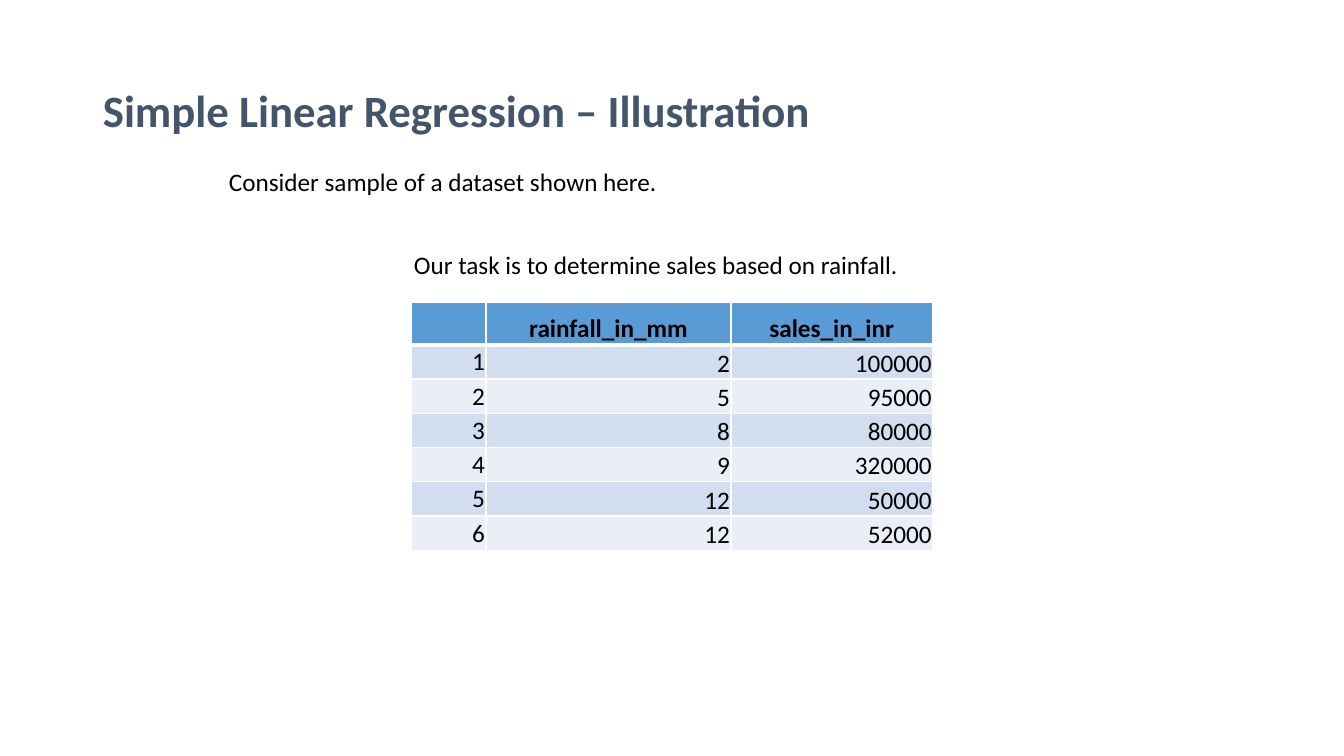
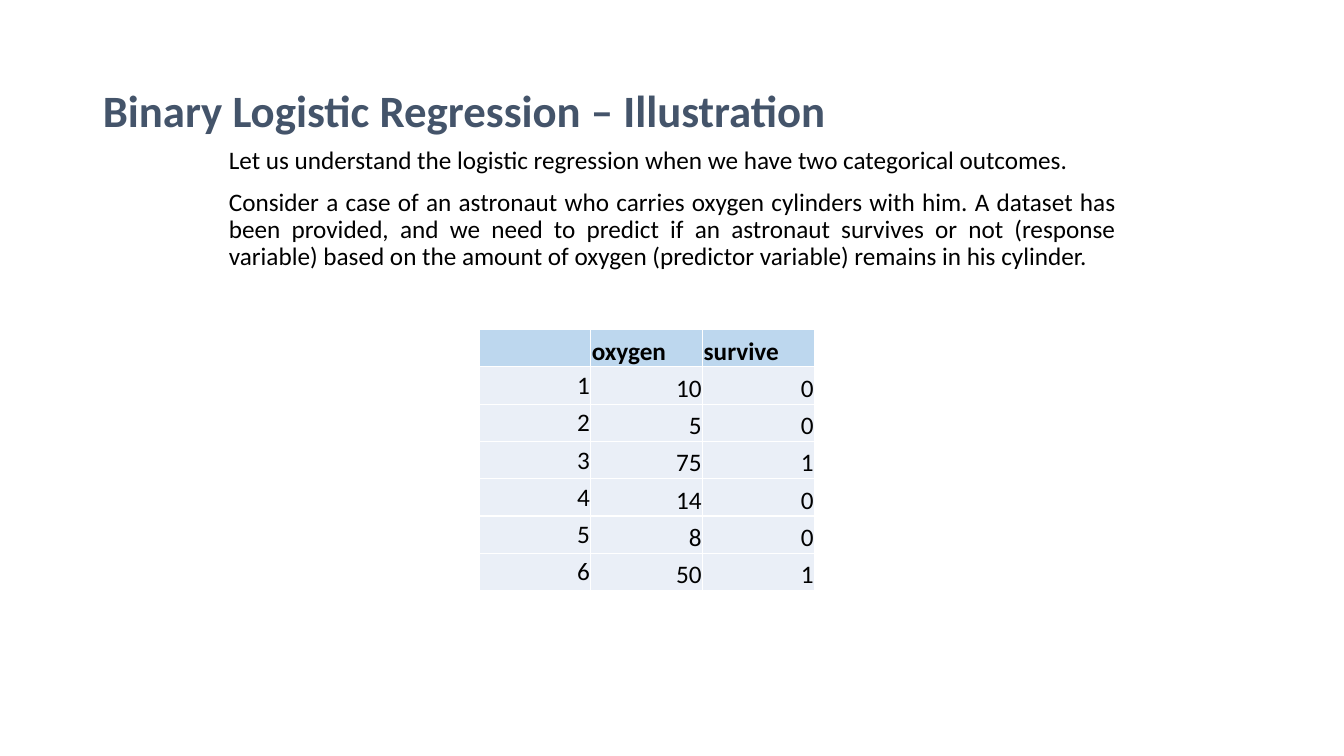
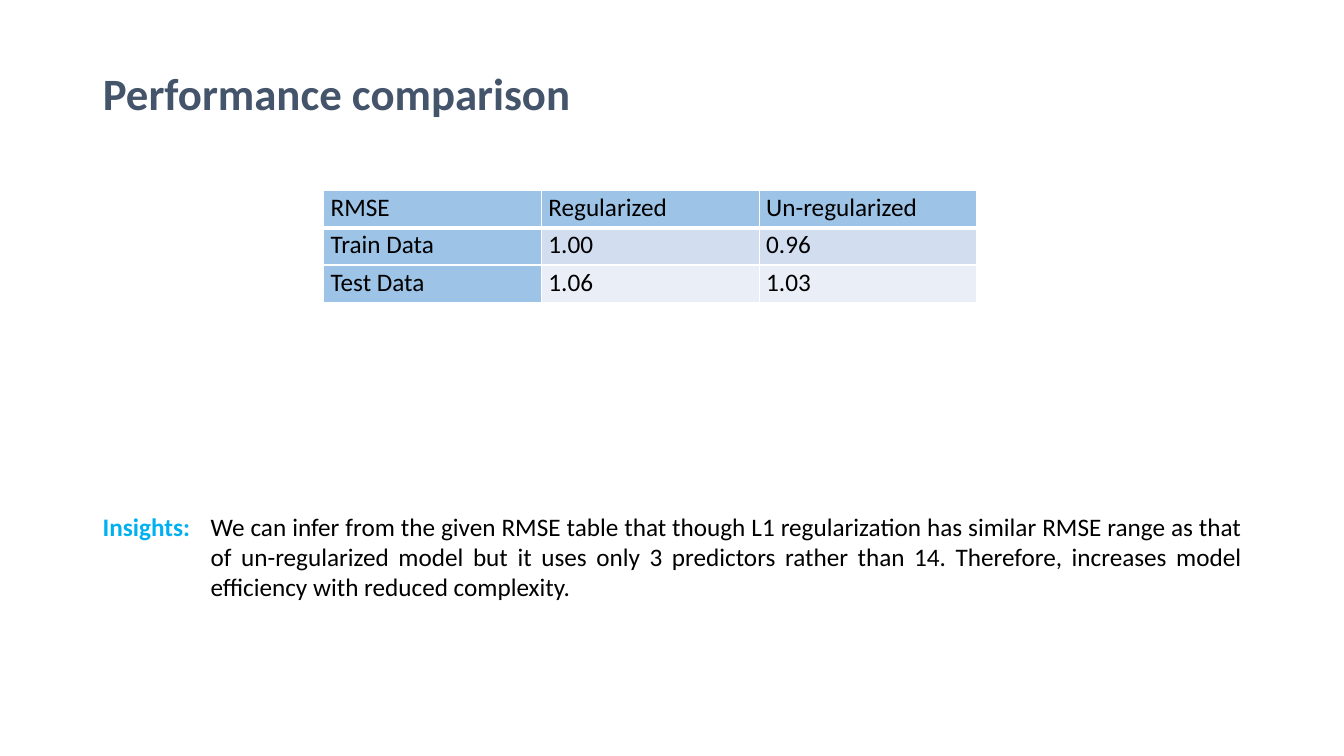
from lxml import etree
from pptx import Presentation
from pptx.dml.color import RGBColor
from pptx.enum.text import MSO_ANCHOR, MSO_AUTO_SIZE, PP_ALIGN
from pptx.oxml.ns import qn
from pptx.util import Inches, Pt

# Shared style
FONT = "Calibri"
BLACK, SLATE, CYAN, WHITE = "000000", "44546A", "00B0F0", "FFFFFF"
BAND, PALE = "D2DEEF", "EAEFF7"
LEFT, CENTER, RIGHT, JUSTIFY = PP_ALIGN.LEFT, PP_ALIGN.CENTER, PP_ALIGN.RIGHT, PP_ALIGN.JUSTIFY
TOP, MIDDLE, BOTTOM = MSO_ANCHOR.TOP, MSO_ANCHOR.MIDDLE, MSO_ANCHOR.BOTTOM
TEXT = {"size": Pt(18), "name": FONT, "bold": False}
HEAD = {**TEXT, "bold": True}
TITLE = {**HEAD, "size": Pt(32)}
TITLE_BOX = (0.92, 0.4, 11.5, 1.45)
TIGHT = {"margin_left": 0.01, "margin_top": 0.01, "margin_right": 0.01, "margin_bottom": 0}
ROOMY = {"margin_left": 0.07, "margin_top": 0, "margin_right": 0.07, "margin_bottom": 0}

# Content: body paragraphs are (text, alignment, space before in points)
SLIDES = [
    {"title": "Simple Linear Regression – Illustration",
     "body_box": (2.17, 1.63, 8.67, 1.28),
     "body": [("Consider sample of a dataset shown here.", JUSTIFY, 0),
              ("Our task is to determine sales based on rainfall.", CENTER, 40)],
     "table": {
         "at": (4.08, 3), "cols": [0.74, 2.43, 2], "head_row": 0.42, "row": 0.34,
         "rows": [("", "rainfall_in_mm", "sales_in_inr"),
                  ("1", "2", "100000"), ("2", "5", "95000"), ("3", "8", "80000"),
                  ("4", "9", "320000"), ("5", "12", "50000"), ("6", "12", "52000")],
         "head": "5B9BD5", "bands": (BAND, PALE), "head_font": HEAD, "head_rule": 3,
         "aligns": (CENTER, RIGHT), "anchors": (MIDDLE, BOTTOM), "margins": TIGHT}},
    {"title": "Binary Logistic Regression – Illustration",
     "body_box": (2.17, 1.42, 9, 1.58),
     "body": [("Let us understand the logistic regression when we have two categorical "
               "outcomes.", LEFT, 0),
              ("Consider a case of an astronaut who carries oxygen cylinders with him. "
               "A dataset has been provided, and we need to predict if an astronaut "
               "survives or not (response variable) based on the amount of oxygen "
               "(predictor variable) remains in his cylinder.", JUSTIFY, 10)],
     "table": {
         "at": (4.75, 3.27), "cols": [1.11] * 3, "head_row": 0.37, "row": 0.37,
         "rows": [("", "oxygen", "survive"),
                  ("1", "10", "0"), ("2", "5", "0"), ("3", "75", "1"),
                  ("4", "14", "0"), ("5", "8", "0"), ("6", "50", "1")],
         "head": "BDD7EE", "bands": (PALE, PALE), "head_font": HEAD, "head_rule": 1,
         "aligns": (LEFT, RIGHT), "anchors": (MIDDLE, BOTTOM), "margins": TIGHT}},
    {"title": "Performance comparison",
     "title_box": (0.92, 0.4, 11.5, 0.84), "title_anchor": BOTTOM,
     "table": {
         "at": (3.21, 1.89), "cols": [2.16] * 3, "head_row": 0.37, "row": 0.37,
         "rows": [("RMSE", "Regularized", "Un-regularized"),
                  ("Train Data", "1.00", "0.96"), ("Test Data", "1.06", "1.03")],
         "head": "9DC3E6", "bands": (BAND, PALE), "head_font": TEXT, "head_rule": 3,
         "head_col": True, "spacing": 1.07,
         "aligns": (JUSTIFY, JUSTIFY), "anchors": (TOP, TOP), "margins": ROOMY},
     "notes": [
         ((0.92, 5.02, 1.07, 0.4), "Insights:", LEFT, HEAD, CYAN, False),
         ((1.99, 5.02, 10.43, 1.01),
          "We can infer from the given RMSE table that though L1 regularization has "
          "similar RMSE range as that of un-regularized model but it uses only 3 "
          "predictors rather than 14. Therefore, increases model efficiency with "
          "reduced complexity.", JUSTIFY, TEXT, BLACK, True)]},
]


def rgb(value):
    return RGBColor.from_string(value)


def assign(target, values):
    for key, value in values.items():
        setattr(target, key, value)


def place(sp, box):
    assign(sp, dict(zip(("left", "top", "width", "height"), map(Inches, box))))


def write(p, text, align, font, color=BLACK, spacing=1.0, before=0):
    assign(p, {"alignment": align, "line_spacing": spacing, "space_before": Pt(before)})
    if text:
        r = p.add_run()
        r.text = text
        assign(r.font, font)
        r.font.color.rgb = rgb(color)


def add_title(s, text, box=TITLE_BOX, anchor=MIDDLE):
    sp = s.shapes.title
    place(sp, box)
    tf = sp.text_frame
    assign(tf, {"vertical_anchor": anchor, "auto_size": MSO_AUTO_SIZE.NONE})
    write(tf.paragraphs[0], text, JUSTIFY, TITLE, SLATE, 0.9)


def add_body(s, box, paragraphs):
    sp = s.placeholders[1]
    place(sp, box)
    tf = sp.text_frame
    tf.auto_size = MSO_AUTO_SIZE.NONE
    for i, (text, align, before) in enumerate(paragraphs):
        p = tf.add_paragraph() if i else tf.paragraphs[0]
        write(p, text, align, TEXT, spacing=0.9, before=before)
        pPr = p._p.get_or_add_pPr()
        pPr.set("marL", "0")
        pPr.set("indent", "0")
        etree.SubElement(pPr, qn("a:buNone"))


def add_borders(cell, bottom):
    tcPr = cell._tc.get_or_add_tcPr()
    for side, width in (("L", 1), ("R", 1), ("T", 1), ("B", bottom)):
        ln = etree.SubElement(tcPr, qn("a:ln" + side), w=str(Pt(width)))
        fill = etree.SubElement(ln, qn("a:solidFill"))
        etree.SubElement(fill, qn("a:srgbClr"), val=WHITE)


def add_grid(s, t):
    rows, cols = t["rows"], t["cols"]
    heights = [t["head_row"]] + [t["row"]] * (len(rows) - 1)
    table = s.shapes.add_table(len(rows), len(cols), *map(
        Inches, (*t["at"], sum(cols), sum(heights)))).table
    table.first_row = table.horz_banding = False
    for col, width in zip(table.columns, cols):
        col.width = Inches(width)
    margins = {key: Inches(value) for key, value in t["margins"].items()}
    for i, texts in enumerate(rows):
        table.rows[i].height = Inches(heights[i])
        is_head = i == 0
        for j, text in enumerate(texts):
            cell = table.cell(i, j)
            assign(cell, margins)
            cell.vertical_anchor = t["anchors"][0 if j == 0 else 1]
            add_borders(cell, t["head_rule"] if is_head else 1)
            tinted = is_head or (j == 0 and t.get("head_col"))
            cell.fill.solid()
            cell.fill.fore_color.rgb = rgb(t["head"] if tinted else t["bands"][(i - 1) % 2])
            write(cell.text_frame.paragraphs[0], text, t["aligns"][0 if is_head else 1],
                  t["head_font"] if is_head else TEXT, spacing=t.get("spacing", 1.0))


def add_note(s, box, text, align, font, color, wrap):
    tf = s.shapes.add_textbox(*map(Inches, box)).text_frame
    assign(tf, {"word_wrap": wrap, "auto_size": MSO_AUTO_SIZE.SHAPE_TO_FIT_TEXT})
    write(tf.paragraphs[0], text, align, font, color)


def main():
    prs = Presentation()
    prs.slide_width, prs.slide_height = Inches(13.33), Inches(7.5)
    for d in SLIDES:
        # Title and Content when there is a body, otherwise Title Only
        s = prs.slides.add_slide(prs.slide_layouts[1 if "body" in d else 5])
        add_title(s, d["title"], d.get("title_box", TITLE_BOX), d.get("title_anchor", MIDDLE))
        if "body" in d:
            add_body(s, d["body_box"], d["body"])
        add_grid(s, d["table"])
        for note in d.get("notes", []):
            add_note(s, *note)
    prs.save("out.pptx")


if __name__ == "__main__":
    main()
